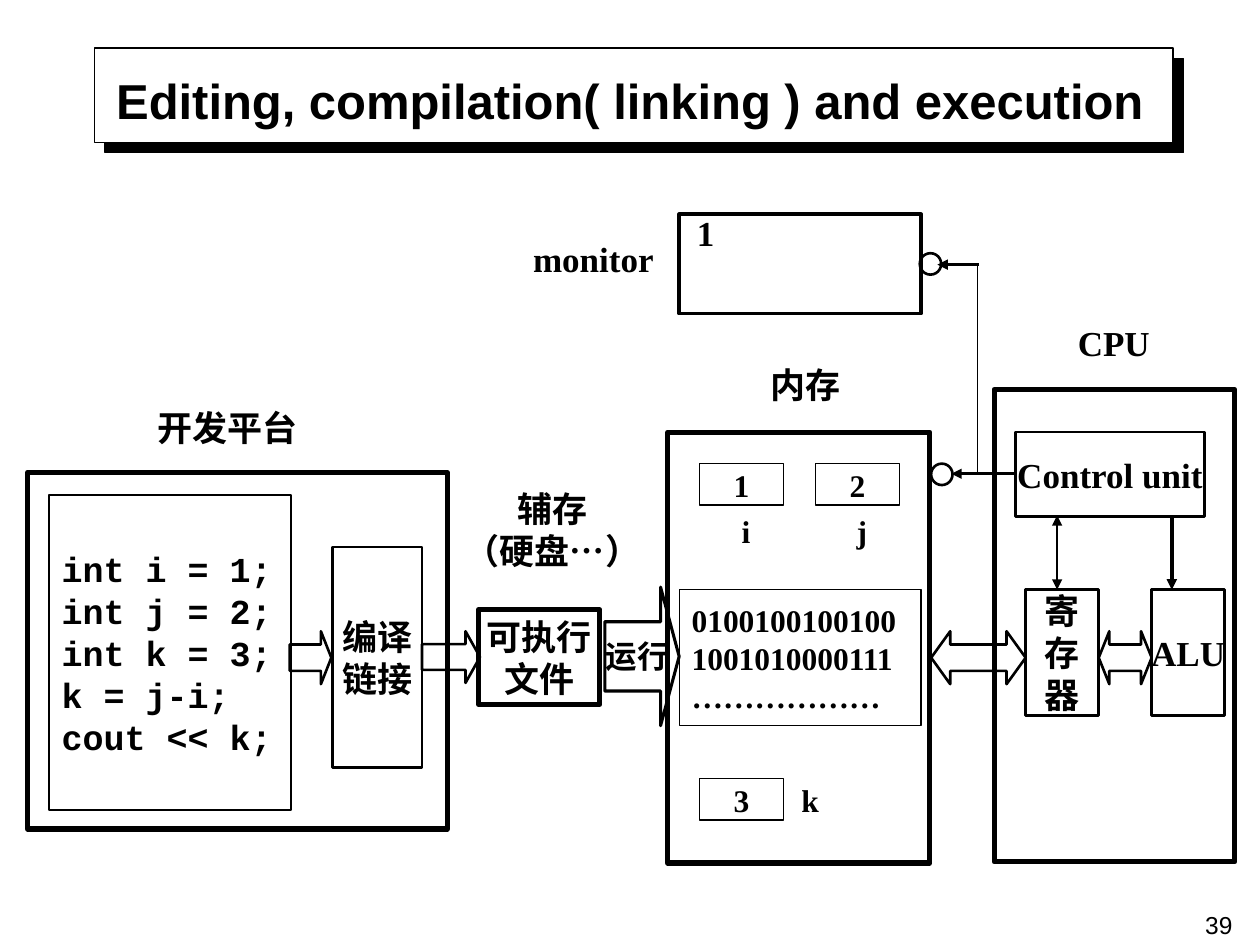
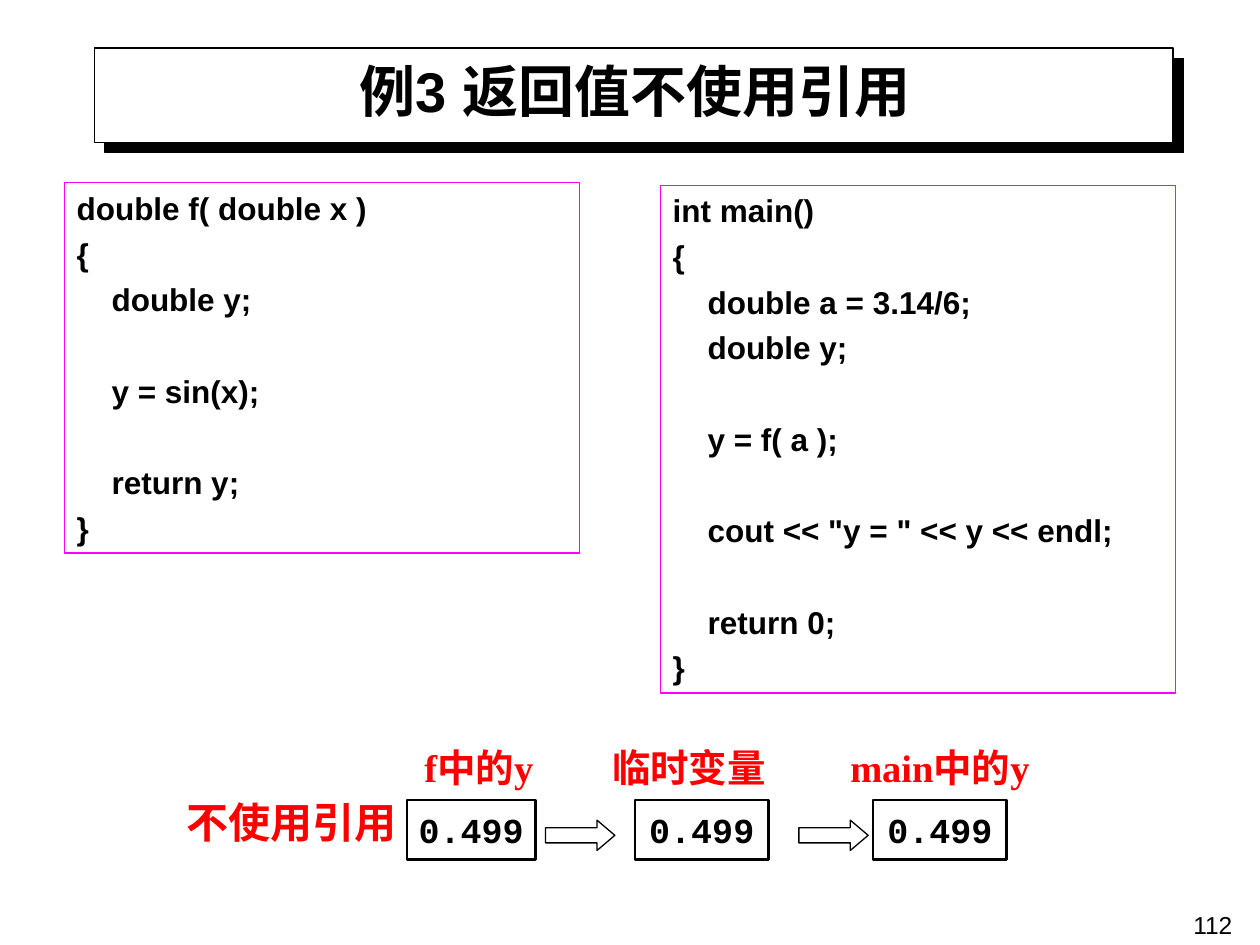
"""Builds two teaching slides: from source code to execution, and returning by value."""
from dataclasses import dataclass

from lxml import etree
from pptx import Presentation
from pptx import util as u
from pptx.dml.color import RGBColor
from pptx.enum import shapes, text
from pptx.oxml.ns import qn

SHAPE = shapes.MSO_SHAPE
ALIGN = text.PP_ALIGN
ANCHOR = text.MSO_ANCHOR


@dataclass(frozen=True)
class Theme:
    black: str = "000000"
    white: str = "FFFFFF"
    red: str = "FF0000"
    magenta: str = "FF00FF"
    sans: str = "Arial"
    serif: str = "Times New Roman"
    mono: str = "Courier New"
    page: int = 14
    small: int = 18
    body: int = 20
    caption: int = 22
    lead: int = 24
    title: int = 28
    title_cjk: int = 32
    thin: float = 0.75
    medium: float = 1.5
    thick: float = 3
    code_gap: float = 4.5
    blank_line: float = 26.1


T = Theme()


def rgb(value):
    return RGBColor.from_string(value)


def inches(values):
    return [u.Inches(v) for v in values]


def write(sp, content, size=T.body, font=T.serif, color=T.black, bold=True,
          align=ALIGN.CENTER, anchor=ANCHOR.MIDDLE, wrap=False, gap=0, blank=0):
    tf = sp.text_frame
    tf.word_wrap = wrap
    tf.vertical_anchor = anchor
    p, extra = tf.paragraphs[0], 0
    for i, line in enumerate(content.split("\n")):
        if blank and not line:
            extra += blank
            continue
        if i:
            p = tf.add_paragraph()
            p.space_before = u.Pt(gap + extra)
        extra = 0
        p.alignment = align
        r = p.add_run()
        r.text = line
        r.font.size, r.font.name, r.font.bold = u.Pt(size), font, bold
        r.font.color.rgb = rgb(color)


def shape(s, kind, at, width=T.medium, line=T.black, fill=None, adj=()):
    sp = s.shapes.add_shape(kind, *inches(at))
    sp.shadow.inherit = False
    if fill:
        sp.fill.solid()
        sp.fill.fore_color.rgb = rgb(fill)
    else:
        sp.fill.background()
    sp.line.color.rgb = rgb(line)
    sp.line.width = u.Pt(width)
    for i, value in enumerate(adj):
        sp.adjustments[i] = value
    return sp


def box(s, at, content="", width=T.medium, line=T.black, **fmt):
    sp = shape(s, SHAPE.RECTANGLE, at, width, line)
    if content:
        write(sp, content, **fmt)


def label(s, at, content, **fmt):
    write(s.shapes.add_textbox(*inches(at)), content, **fmt)


def block_arrow(s, at, head, kind=SHAPE.RIGHT_ARROW, width=T.medium):
    return shape(s, kind, at, width, adj=(0.5, head))


def port(s, left, top):
    shape(s, SHAPE.OVAL, (left, top, 0.17, 0.17))


def wire(s, start, end, width=T.medium, ends=("tailEnd",)):
    cx = s.shapes.add_connector(shapes.MSO_CONNECTOR.STRAIGHT, *inches(start + end))
    cx.line.color.rgb = rgb(T.black)
    cx.line.width = u.Pt(width)
    ln = cx.line._get_or_add_ln()
    for end_tag in ends:
        etree.SubElement(ln, qn(f"a:{end_tag}"), type="triangle")
    etree.SubElement(cx._element.spPr, qn("a:effectLst"))


def hard_shadow(sp, distance):
    effects = sp._element.spPr.find(qn("a:effectLst"))
    shadow = etree.SubElement(effects, qn("a:outerShdw"), dist=str(u.Pt(distance)),
                              dir=str(45 * 60000), algn="ctr", rotWithShape="0")
    etree.SubElement(shadow, qn("a:srgbClr"), val=T.black)


def new_slide(prs, title, number, title_at, size):
    s = prs.slides.add_slide(prs.slide_layouts[6])
    hard_shadow(shape(s, SHAPE.RECTANGLE, (0.75, 0.38, 8.56, 0.75), T.thin, fill=T.white), 8.5)
    label(s, title_at, title, size=size, font=T.sans, wrap=True)
    label(s, (7.55, 7.17, 2.33, 0.33), number, size=T.page, font=T.sans, bold=False,
          align=ALIGN.RIGHT, anchor=ANCHOR.TOP, wrap=True)
    return s


def platform(s):
    box(s, (0.22, 3.75, 3.33, 2.83), width=T.thick)
    label(s, (0.97, 3.18, 1.67, 0.42), "开发平台")
    box(s, (0.39, 3.93, 1.92, 2.5),
        "int i = 1;\nint j = 2;\nint k = 3;\nk = j-i;\ncout << k;",
        font=T.mono, align=ALIGN.LEFT)
    box(s, (2.64, 4.34, 0.71, 1.75), "编译\n链接")
    box(s, (3.8, 4.84, 0.96, 0.75), "可执行\n文件", width=T.thick)
    label(s, (3.55, 3.87, 1.67, 0.67), "辅存\n（硬盘…）")
    block_arrow(s, (2.3, 5.01, 0.33, 0.42), 0.25)
    block_arrow(s, (3.35, 5.01, 0.46, 0.41), 0.28)


def memory(s):
    box(s, (5.3, 3.43, 2.08, 3.42), width=T.thick)
    label(s, (5.89, 2.84, 1, 0.42), "内存")
    for left, top, value in ((5.55, 3.68, "1"), (6.47, 3.68, "2"), (5.55, 6.18, "3")):
        box(s, (left, top, 0.67, 0.33), value, width=T.thin, size=T.small)
    for left, top, name in ((5.67, 4.09, "i"), (6.59, 4.09, "j"), (6.18, 6.22, "k")):
        label(s, (left, top, 0.5, 0.25), name, size=T.small)
    box(s, (5.39, 4.68, 1.92, 1.08), "0100100100100\n1001010000111\n………………",
        width=T.thin, size=T.small, align=ALIGN.LEFT)
    run = block_arrow(s, (4.8, 4.66, 0.59, 1.1), 0.25, width=1.75)
    write(run, "运行", size=T.small)
    port(s, 7.39, 3.68)


def cpu(s):
    box(s, (7.89, 3.09, 1.91, 3.75), width=T.thick)
    label(s, (8.24, 2.51, 1.2, 0.42), "CPU")
    box(s, (8.06, 3.43, 1.5, 0.67), "Control unit")
    box(s, (8.14, 4.68, 0.58, 1), "寄\n存\n器")
    box(s, (9.14, 4.68, 0.58, 1), "ALU")
    for at, head in (((7.39, 5.01, 0.75, 0.42), 0.36), ((8.72, 5.01, 0.42, 0.42), 0.2)):
        block_arrow(s, at, head, SHAPE.LEFT_RIGHT_ARROW)
    wire(s, (8.39, 4.09), (8.39, 4.68), ends=("headEnd", "tailEnd"))
    wire(s, (9.3, 4.09), (9.3, 4.68), width=2)
    wire(s, (8.05, 3.76), (7.55, 3.76))


def monitor(s):
    box(s, (5.39, 1.7, 1.92, 0.79), width=2)
    label(s, (5.35, 1.76, 0.5, 0.17), "1")
    label(s, (3.96, 1.84, 1.5, 0.42), "monitor")
    port(s, 7.3, 2.01)
    wire(s, (7.77, 2.1), (7.44, 2.1), width=1.75)
    wire(s, (7.76, 2.1), (7.76, 3.75), width=T.thin, ends=())


def code_box(s, at, code):
    box(s, at, code, width=T.thin, line=T.magenta, size=T.small, font=T.sans,
        align=ALIGN.LEFT, anchor=ANCHOR.TOP, wrap=True, gap=T.code_gap, blank=T.blank_line)


def value_flow(s):
    label(s, (1.38, 6.27, 2.1, 0.5), "不使用引用", size=T.lead, color=T.red, align=ALIGN.LEFT)
    stages = (
        (3.27, "f中的y", 3.23, 1.02),
        (4.76, "临时变量", 5.04, 1.06),
        (6.65, "main中的y", 6.93, 1.06),
    )
    for name_left, name, left, width in stages:
        label(s, (name_left, 5.88, 2, 0.42), name,
              size=T.caption, color=T.red, align=ALIGN.LEFT, wrap=True)
        box(s, (left, 6.35, width, 0.47), "0.499", font=T.mono)
    for left in (4.33, 6.34):
        block_arrow(s, (left, 6.51, 0.55, 0.24), 0.59, width=T.thin)


def main():
    prs = Presentation()
    prs.slide_width, prs.slide_height = inches((10, 7.5))

    s = new_slide(prs, "Editing, compilation( linking ) and execution", "39",
                  (0.75, 0.44, 8.5, 0.71), T.title)
    for part in (platform, memory, cpu, monitor):
        part(s)

    s = new_slide(prs, "例3 返回值不使用引用", "112", (0.75, 0.36, 8.58, 0.71), T.title_cjk)
    code_box(s, (0.51, 1.45, 4.09, 2.94), """double f( double x )
{
    double y;

    y = sin(x);

    return y;
}""")
    code_box(s, (5.24, 1.47, 4.09, 4.03), """int main()
{
    double a = 3.14/6;
    double y;

    y = f( a );

    cout << "y = " << y << endl;

    return 0;
}""")
    value_flow(s)
    prs.save("out.pptx")


if __name__ == "__main__":
    main()
